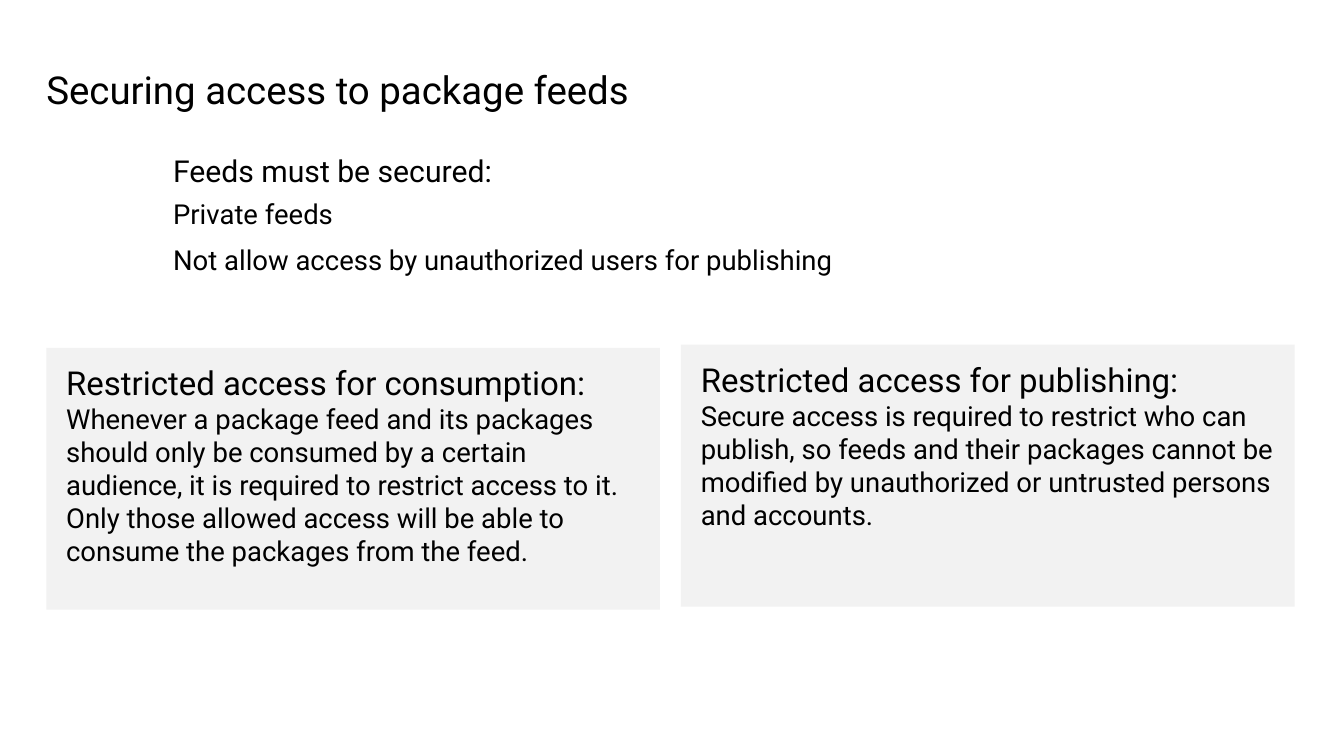
import dataclasses

import pptx
import pptx.dml.color
import pptx.enum.shapes
import pptx.enum.text
import pptx.util

Cm = pptx.util.Cm
Pt = pptx.util.Pt


@dataclasses.dataclass(frozen=True)
class Theme:
    font: str = "Roboto"
    ink: str = "000000"
    paper: str = "FFFFFF"
    panel: str = "F2F2F2"
    title: int = 28
    heading: int = 24
    lead: int = 22
    body: int = 20


THEME = Theme()

PANELS = [
    (
        "Restricted access for consumption:",
        "Whenever a package feed and its packages should only be consumed by a certain "
        "audience, it is required to restrict access to it. Only those allowed access "
        "will be able to consume the packages from the feed.",
    ),
    (
        "Restricted access for publishing:",
        "Secure access is required to restrict who can publish, so feeds and their "
        "packages cannot be modified by unauthorized or untrusted persons and accounts.",
    ),
]
REQUIREMENTS = [
    "Feeds must be secured:",
    "Private feeds",
    "Not allow access by unauthorized users for publishing",
]


def color(value):
    return pptx.dml.color.RGBColor.from_string(value)


def write(frame, lines, sizes, inset_x=0, inset_y=0):
    frame.word_wrap = True
    frame.auto_size = pptx.enum.text.MSO_AUTO_SIZE.NONE
    frame.vertical_anchor = pptx.enum.text.MSO_ANCHOR.TOP
    frame.margin_left = frame.margin_right = Cm(inset_x)
    frame.margin_top = frame.margin_bottom = Cm(inset_y)
    frame.text = "\n".join(lines)
    for paragraph, size in zip(frame.paragraphs, sizes):
        paragraph.alignment = pptx.enum.text.PP_ALIGN.LEFT
        for run in paragraph.runs:
            run.font.name = THEME.font
            run.font.size = Pt(size)
            run.font.color.rgb = color(THEME.ink)


def add_block(slide, left, top, width, height, fill):
    block = slide.shapes.add_shape(
        pptx.enum.shapes.MSO_SHAPE.RECTANGLE, Cm(left), Cm(top), Cm(width), Cm(height)
    )
    block.shadow.inherit = False
    block.fill.solid()
    block.fill.fore_color.rgb = color(fill)
    block.line.fill.background()
    return block.text_frame


def place_title(slide, left, top, width, height):
    title = slide.shapes.title
    title.left, title.top = Cm(left), Cm(top)
    title.width, title.height = Cm(width), Cm(height)
    write(title.text_frame, ["Securing access to package feeds"], [THEME.title])
    title.text_frame.paragraphs[0].line_spacing = Pt(32)


def add_panels(slide, left, top, width, height, gap, rise):
    panel_width = (width - gap) / 2
    for index, panel in enumerate(PANELS):
        frame = add_block(
            slide, left + index * (panel_width + gap), top - index * rise,
            panel_width, height, THEME.panel,
        )
        write(frame, panel, [THEME.heading, THEME.body], 0.51, 0.38)


def add_requirements(slide, left, top, width, height):
    frame = add_block(slide, left, top, width, height, THEME.paper)
    write(frame, REQUIREMENTS, [THEME.lead, THEME.body, THEME.body])
    for paragraph, before in zip(frame.paragraphs[1:], (6, 4)):
        paragraph.space_before = Pt(before)
        paragraph.space_after = Pt(6)


def main():
    deck = pptx.Presentation()
    deck.slide_width, deck.slide_height = Cm(34.54), Cm(19.43)
    slide = deck.slides.add_slide(deck.slide_layouts.get_by_name("Title Only"))
    place_title(slide, 1.19, 1.75, 32.13, 1.14)
    add_panels(slide, 1.19, 8.94, 32.08, 6.73, gap=0.54, rise=0.08)
    add_requirements(slide, 4.45, 3.91, 28.83, 3.23)
    deck.save("out.pptx")


if __name__ == "__main__":
    main()
